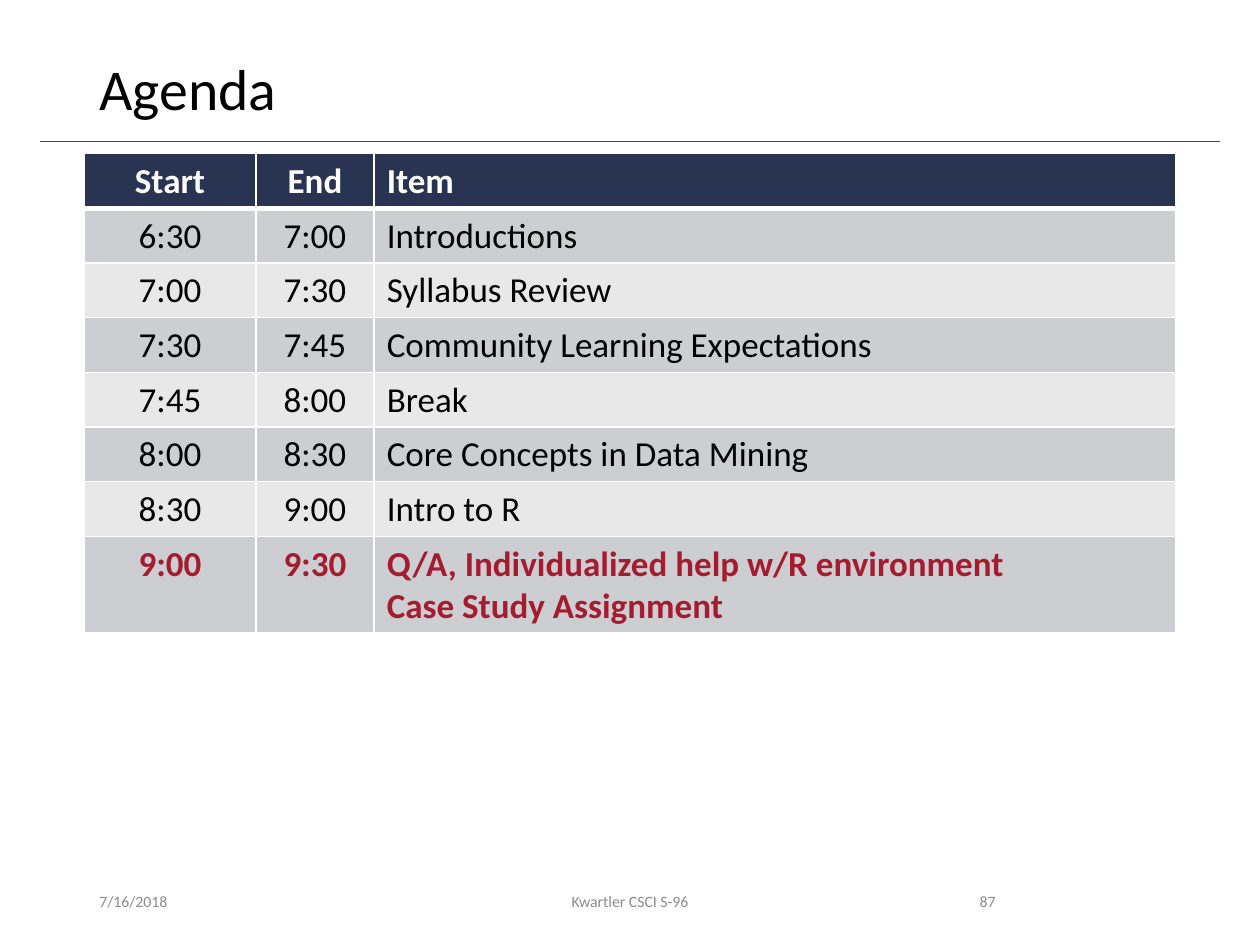
import dataclasses

import lxml.etree
import pptx
import pptx.dml.color
import pptx.enum.dml
import pptx.enum.shapes
import pptx.enum.text
import pptx.oxml.ns
import pptx.util

ALIGN = pptx.enum.text.PP_ALIGN
ROWS = [
    ("Start", "End", "Item"),
    ("6:30", "7:00", "Introductions"),
    ("7:00", "7:30", "Syllabus Review"),
    ("7:30", "7:45", "Community Learning Expectations"),
    ("7:45", "8:00", "Break"),
    ("8:00", "8:30", "Core Concepts in Data Mining"),
    ("8:30", "9:00", "Intro to R"),
    ("9:00", "9:30", "Q/A, Individualized help w/R environment\nCase Study Assignment"),
]
COLUMN_WIDTHS = (1.36, 0.94, 6.36)
COLUMN_ALIGNS = (ALIGN.CENTER, ALIGN.CENTER, ALIGN.LEFT)
ROW_HEIGHT = 0.41
FOOTER_TOP, FOOTER_HEIGHT = 6.95, 0.4
FOOTERS = [
    ("7/16/2018", 0.69, 2.25, ALIGN.LEFT),
    ("Kwartler CSCI S-96", 3.31, 3.38, ALIGN.CENTER),
    ("87", 7.06, 0.94, ALIGN.RIGHT),
]


@dataclasses.dataclass(frozen=True)
class Theme:
    """Colours, font and type sizes of the slide."""

    font: str = "Calibri"
    title_size: int = 33
    table_size: int = 20
    footer_size: int = 9
    ink: str = "000000"
    paper: str = "FFFFFF"
    header: str = "293352"
    bands: tuple = ("CDCED1", "E8E8E9")
    accent: str = "A51C30"
    muted: str = "8C8C8C"


THEME = Theme()


def inches(*lengths):
    """Convert lengths in inches to slide units."""
    return [pptx.util.Inches(length) for length in lengths]


def rgb(color):
    """Return the colour object for a hex value."""
    return pptx.dml.color.RGBColor.from_string(color)


def write_text(frame, text, size, color, align, bold=False, spacing=None):
    """Fill a text frame with one paragraph for each line of text."""
    font_format = {"name": THEME.font, "size": pptx.util.Pt(size), "bold": bold}
    for index, line in enumerate(text.split("\n")):
        para = frame.add_paragraph() if index else frame.paragraphs[0]
        para.alignment = align
        para.line_spacing = spacing
        span = para.add_run()
        span.text = line
        for name, value in font_format.items():
            setattr(span.font, name, value)
        span.font.color.rgb = rgb(color)


def add_label(page, place, text, size, color, align, spacing=None):
    """Add a wrapped, vertically centred text box."""
    frame = page.shapes.add_textbox(*inches(*place)).text_frame
    frame.word_wrap = True
    frame.vertical_anchor = pptx.enum.text.MSO_ANCHOR.MIDDLE
    write_text(frame, text, size, color, align, spacing=spacing)


def add_rule(page, start, end, color, width):
    """Add a thin straight line without a shadow."""
    rule = page.shapes.add_connector(
        pptx.enum.shapes.MSO_CONNECTOR.STRAIGHT, *inches(*start, *end)
    )
    rule.line.color.rgb = rgb(color)
    rule.line.width = pptx.util.Pt(width)
    lxml.etree.SubElement(
        rule._element.spPr, pptx.oxml.ns.qn("a:effectLst")
    )


def set_borders(cell, color, widths):
    """Draw the borders of a cell from a dict of side to width in points."""
    properties = cell._tc.get_or_add_tcPr()
    for side, width in widths.items():
        border = lxml.etree.SubElement(
            properties, pptx.oxml.ns.qn(f"a:ln{side}"), w=str(pptx.util.Pt(width))
        )
        fill = lxml.etree.SubElement(border, pptx.oxml.ns.qn("a:solidFill"))
        lxml.etree.SubElement(fill, pptx.oxml.ns.qn("a:srgbClr"), val=color)


def row_style(index):
    """Return fill, text colour, weight and border widths of a table row."""
    widths = {
        "L": 1,
        "R": 1,
        "T": 3 if index == 1 else 1,
        "B": 3 if index == 0 else 1,
    }
    if index == 0:
        return THEME.header, THEME.paper, True, widths
    last = index == len(ROWS) - 1
    color = THEME.accent if last else THEME.ink
    return THEME.bands[(index - 1) % 2], color, last, widths


def add_agenda(page, left, top):
    """Add the agenda table with its header, bands and highlighted last row."""
    size = (sum(COLUMN_WIDTHS), ROW_HEIGHT * len(ROWS))
    table = page.shapes.add_table(
        len(ROWS), len(COLUMN_WIDTHS), *inches(left, top, *size)
    ).table
    for column, width in zip(table.columns, COLUMN_WIDTHS):
        column.width = pptx.util.Inches(width)
    for row_index, texts in enumerate(ROWS):
        fill, color, bold, widths = row_style(row_index)
        for column_index, text in enumerate(texts):
            cell = table.cell(row_index, column_index)
            set_borders(cell, THEME.paper, widths)
            cell.fill.solid()
            cell.fill.fore_color.rgb = rgb(fill)
            align = COLUMN_ALIGNS[column_index]
            write_text(cell.text_frame, text, THEME.table_size, color, align, bold)


def main():
    """Build the agenda slide and save it."""
    deck = pptx.Presentation()
    deck.slide_width, deck.slide_height = inches(10, 7.5)
    page = deck.slides.add_slide(deck.slide_layouts[6])
    add_rule(page, (0.32, 1.12), (9.68, 1.12), THEME.accent, 0.5)
    add_label(
        page, (0.69, 0.4, 8.62, 0.65), "Agenda",
        THEME.title_size, THEME.ink, ALIGN.LEFT, spacing=0.9,
    )
    add_agenda(page, 0.67, 1.22)
    for text, left, width, align in FOOTERS:
        place = (left, FOOTER_TOP, width, FOOTER_HEIGHT)
        add_label(page, place, text, THEME.footer_size, THEME.muted, align)
    deck.save("out.pptx")


if __name__ == "__main__":
    main()
